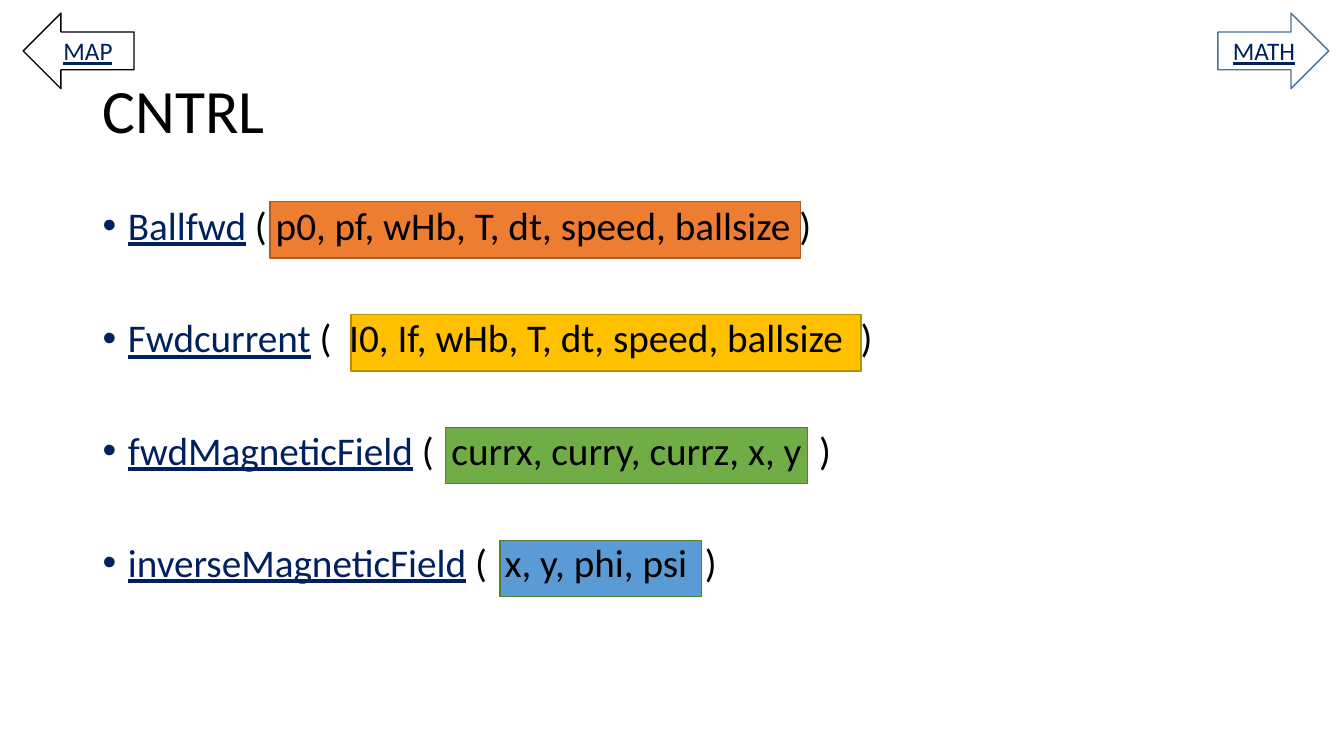
import pptx
import pptx.dml.color
import pptx.enum.shapes
import pptx.enum.text
import pptx.util
from lxml import etree
from pptx.util import Inches

COLORS = {
    "black": "000000", "white": "FFFFFF", "navy": "002060", "steel": "43739E",
    "orange": "ED7D31", "rust": "AF5C24", "gold": "FFC000", "ochre": "BD8E00",
    "green": "70AD47", "forest": "538035", "blue": "5B9BD5",
}
SHAPES = pptx.enum.shapes.MSO_SHAPE
BODY_LEFT, BODY_TOP, BODY_WIDTH = 0.92, 2, 11.5
ROW_PITCH = 1.12
WIDE_SPACE = 6.33

FUNCTIONS = [
    ("Ballfwd", "p0, pf, wHb, T, dt, speed, ballsize", 0, 0, 2.68, 5.26, "orange", "rust"),
    ("Fwdcurrent", "I0, If, wHb, T, dt, speed, ballsize", WIDE_SPACE, WIDE_SPACE, 3.48, 5.06, "gold", "ochre"),
    ("fwdMagneticField", "currx, curry, currz, x, y", WIDE_SPACE, WIDE_SPACE, 4.42, 3.59, "green", "forest"),
    ("inverseMagneticField", "x, y, phi, psi", WIDE_SPACE, WIDE_SPACE, 4.96, 2, "blue", "forest"),
]


def rgb(name):
    return pptx.dml.color.RGBColor.from_string(COLORS[name])


def add_text(paragraph, text, size=28, color="black", underline=False, spacing=0):
    run = paragraph.add_run()
    run.text = text
    run.font.name = "Calibri"
    run.font.size = pptx.util.Pt(size)
    run.font.color.rgb = rgb(color)
    run.font.underline = underline
    if spacing:
        run.font._element.set("spc", str(round(spacing * 100)))


def add_box(slide, kind, left, top, width, height, fill, line):
    shape = slide.shapes.add_shape(
        kind, Inches(left), Inches(top), Inches(width), Inches(height))
    shape.shadow.inherit = False
    shape.fill.solid()
    shape.fill.fore_color.rgb = rgb(fill)
    shape.line.color.rgb = rgb(line)
    shape.line.width = pptx.util.Pt(1)
    return shape


def add_arrow(slide, kind, left, label, line):
    arrow = add_box(slide, kind, left, 0.13, 1.1, 0.75, "white", line)
    paragraph = arrow.text_frame.paragraphs[0]
    paragraph.alignment = pptx.enum.text.PP_ALIGN.CENTER
    add_text(paragraph, label, size=18, color="navy", underline=True)


def add_text_frame(slide, top, height, anchor):
    box = slide.shapes.add_textbox(
        Inches(BODY_LEFT), Inches(top), Inches(BODY_WIDTH), Inches(height))
    box.text_frame.word_wrap = True
    box.text_frame.vertical_anchor = anchor
    return box.text_frame


def add_bullet(paragraph, color):
    properties = paragraph._p.get_or_add_pPr()
    properties.set("marL", str(Inches(0.25)))
    properties.set("indent", str(Inches(-0.25)))
    namespace = pptx.oxml.ns.qn
    bullet_color = etree.SubElement(properties, namespace("a:buClr"))
    etree.SubElement(bullet_color, namespace("a:srgbClr"), val=COLORS[color])
    etree.SubElement(properties, namespace("a:buFont"), typeface="Arial")
    etree.SubElement(properties, namespace("a:buChar"), char="•")


def add_signature(paragraph, name, arguments, gap_before, gap_after):
    paragraph.line_spacing = 0.9
    paragraph.space_after = pptx.util.Pt(50)
    add_bullet(paragraph, "navy")
    add_text(paragraph, name, color="navy", underline=True)
    add_text(paragraph, " (")
    add_text(paragraph, " ", spacing=gap_before)
    add_text(paragraph, arguments)
    add_text(paragraph, " ", spacing=gap_after)
    add_text(paragraph, ")")


def main():
    presentation = pptx.Presentation()
    presentation.slide_width = Inches(13.33)
    presentation.slide_height = Inches(7.5)
    slide = presentation.slides.add_slide(presentation.slide_layouts[6])

    title = add_text_frame(slide, 0.4, 1.45, pptx.enum.text.MSO_ANCHOR.MIDDLE)
    title.paragraphs[0].line_spacing = 0.9
    add_text(title.paragraphs[0], "CNTRL", size=44)

    add_arrow(slide, SHAPES.LEFT_ARROW, 0.23, "MAP", "black")
    add_arrow(slide, SHAPES.RIGHT_ARROW, 12.08, "MATH", "steel")

    for row, (*_, left, width, fill, line) in enumerate(FUNCTIONS):
        add_box(slide, SHAPES.RECTANGLE, left, BODY_TOP + row * ROW_PITCH,
                width, 0.56, fill, line)

    body = add_text_frame(slide, BODY_TOP, 4.76, pptx.enum.text.MSO_ANCHOR.TOP)
    for row, (name, arguments, gap_before, gap_after, *_) in enumerate(FUNCTIONS):
        paragraph = body.add_paragraph() if row else body.paragraphs[0]
        add_signature(paragraph, name, arguments, gap_before, gap_after)

    presentation.save("out.pptx")


if __name__ == "__main__":
    main()
